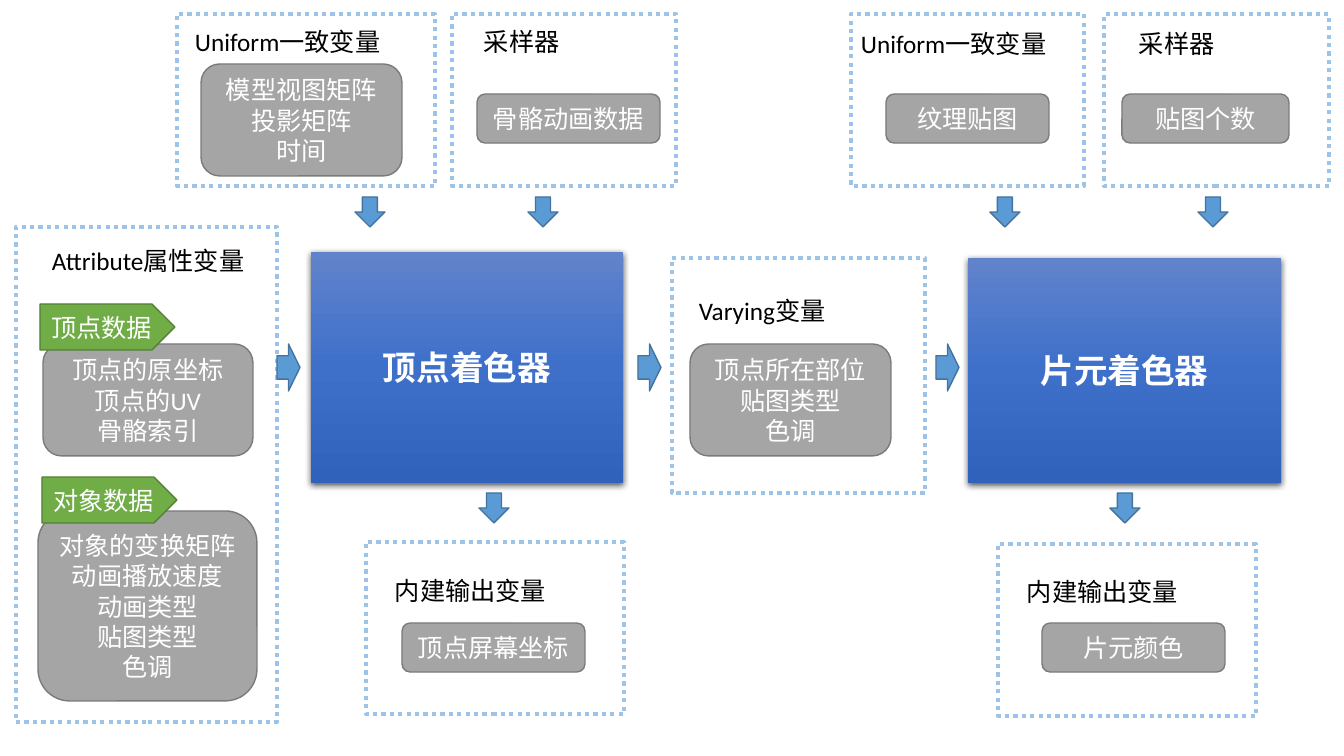
"""Build the slide showing how data flows through the vertex and fragment shaders."""
from copy import deepcopy

from lxml.etree import SubElement
from pptx import Presentation
from pptx.dml.color import RGBColor
from pptx.enum.dml import MSO_LINE
from pptx.enum.lang import MSO_LANGUAGE_ID
from pptx.enum.shapes import MSO_SHAPE
from pptx.enum.text import MSO_ANCHOR, PP_ALIGN
from pptx.oxml.ns import qn
from pptx.util import Pt

PX = 914400 / 100.8
LATIN, CJK = "Calibri", "Noto Sans CJK SC"
COLORS = {
    "white": "FFFFFF", "black": "000000", "panel": "9DC3E6",
    "node": "A5A5A5", "node_line": "7A7A7A",
    "tag": "70AD47", "tag_line": "538035",
    "arrow": "5B9BD5", "arrow_line": "43739E",
    "shader_top": "6183CB", "shader_mid": "3E70CA", "shader_end": "3062BB",
}

PANELS = [
    ((16, 227, 261, 495), "Attribute属性变量", (42, 240, 220)),
    ((672, 258, 253, 235), "Varying变量", (689, 290, 220)),
    ((366, 542, 258, 172), "内建输出变量", (385, 570, 220)),
    ((851, 14, 233, 172), "Uniform一致变量", (851, 23, 220)),
    ((1104, 14, 225, 172), "采样器", (1129, 23, 220)),
    ((177, 14, 258, 172), "Uniform一致变量", (185, 21, 220)),
    ((452, 14, 224, 172), "采样器", (474, 21, 140)),
    ((998, 544, 258, 172), "内建输出变量", (1017, 571, 220)),
]
NODES = [
    ((1122, 94, 167, 49), ["贴图个数"]),
    ((886, 94, 163, 49), ["纹理贴图"]),
    ((1042, 623, 183, 49), ["片元颜色"]),
    ((402, 623, 183, 49), ["顶点屏幕坐标"]),
    ((477, 94, 183, 49), ["骨骼动画数据"]),
    ((201, 64, 201, 112), ["模型视图矩阵", "投影矩阵", "时间"]),
    ((690, 344, 201, 112), ["顶点所在部位", "贴图类型", "色调"]),
    ((43, 344, 210, 112), ["顶点的原坐标", "顶点的UV", "骨骼索引"]),
    ((38, 511, 219, 190), ["对象的变换矩阵", "动画播放速度", "动画类型", "贴图类型", "色调"]),
]
TAGS = [((40, 304, 135, 46), ["顶点数据"]), ((42, 477, 135, 46), ["对象数据"])]
SHADERS = [((311, 252, 312, 231), ["顶点着色器"]), ((968, 258, 313, 225), ["片元着色器"])]
RIGHT_ARROWS = [(277, 344), (638, 344), (936, 344)]
DOWN_ARROWS = [(355, 197), (528, 197), (990, 197), (1198, 197), (479, 493), (1110, 493)]


def px(*values):
    """Turn pixels into EMU."""
    return [round(v * PX) for v in values]


def rgb(name):
    """Look up a colour by name."""
    return RGBColor.from_string(COLORS[name])


def write(sp, lines, color="white", size=18, bold=False, font=LATIN,
          align=PP_ALIGN.CENTER, anchor=MSO_ANCHOR.MIDDLE):
    """Fill a shape with one paragraph per line."""
    tf = sp.text_frame
    tf.word_wrap = True
    tf.vertical_anchor = anchor
    for i, line in enumerate(lines):
        p = tf.add_paragraph() if i else tf.paragraphs[0]
        p.alignment = align
        r = p.add_run()
        r.text = line
        r.font.size, r.font.bold, r.font.name = Pt(size), bold, font
        r.font.color.rgb = rgb(color)
        r.font.language_id = MSO_LANGUAGE_ID.SIMPLIFIED_CHINESE
        SubElement(r.font._element, qn("a:ea"), typeface=CJK)


def add_box(s, kind, box, fill=None, line=None, width=1):
    """Add a preset shape with a flat fill and outline, either of them optional."""
    sp = s.shapes.add_shape(kind, *px(*box))
    sp.shadow.inherit = False
    if fill:
        sp.fill.solid()
        sp.fill.fore_color.rgb = rgb(fill)
    else:
        sp.fill.background()
    if line:
        sp.line.color.rgb = rgb(line)
        sp.line.width = Pt(width)
    else:
        sp.line.fill.background()
    return sp


def add_shader(s, box, lines):
    """Add a shader block with a three-stop gradient and a soft shadow."""
    sp = add_box(s, MSO_SHAPE.RECTANGLE, box)
    sp.fill.gradient()
    sp.fill.gradient_angle = 270
    gs_lst = sp._element.spPr.find(".//" + qn("a:gsLst"))
    gs_lst.insert(1, deepcopy(gs_lst[0]))
    names = ("shader_top", "shader_mid", "shader_end")
    for stop, name, position in zip(sp.fill.gradient_stops, names, (0, 0.5, 1)):
        stop.color.rgb = rgb(name)
        stop.position = position
    effects = sp._element.spPr.find(qn("a:effectLst"))
    shadow = SubElement(effects, qn("a:outerShdw"), blurRad=str(Pt(4.5)),
                        dist=str(Pt(1.5)), dir="5400000", algn="ctr", rotWithShape="0")
    color = SubElement(shadow, qn("a:srgbClr"), val=COLORS["black"])
    SubElement(color, qn("a:alpha"), val="63000")
    write(sp, lines, size=24, bold=True, font=CJK)


prs = Presentation()
prs.slide_width, prs.slide_height = px(1344, 756)
s = prs.slides.add_slide(prs.slide_layouts[6])

for box, title, (x, y, w) in PANELS:
    panel = add_box(s, MSO_SHAPE.RECTANGLE, box, line="panel", width=3)
    panel.line.dash_style = MSO_LINE.ROUND_DOT
    label = s.shapes.add_textbox(*px(x, y, w, 40))
    write(label, [title], color="black", align=PP_ALIGN.LEFT, anchor=MSO_ANCHOR.TOP)

for box, lines in SHADERS:
    add_shader(s, box, lines)

for kind, size, spots in (
    (MSO_SHAPE.RIGHT_ARROW, (23, 47), RIGHT_ARROWS),
    (MSO_SHAPE.DOWN_ARROW, (30, 30), DOWN_ARROWS),
):
    for spot in spots:
        add_box(s, kind, spot + size, "arrow", "arrow_line")

for kind, style, items in (
    (MSO_SHAPE.ROUNDED_RECTANGLE, "node", NODES),
    (MSO_SHAPE.PENTAGON, "tag", TAGS),
):
    for box, lines in items:
        write(add_box(s, kind, box, style, style + "_line"), lines)

prs.save("out.pptx")
